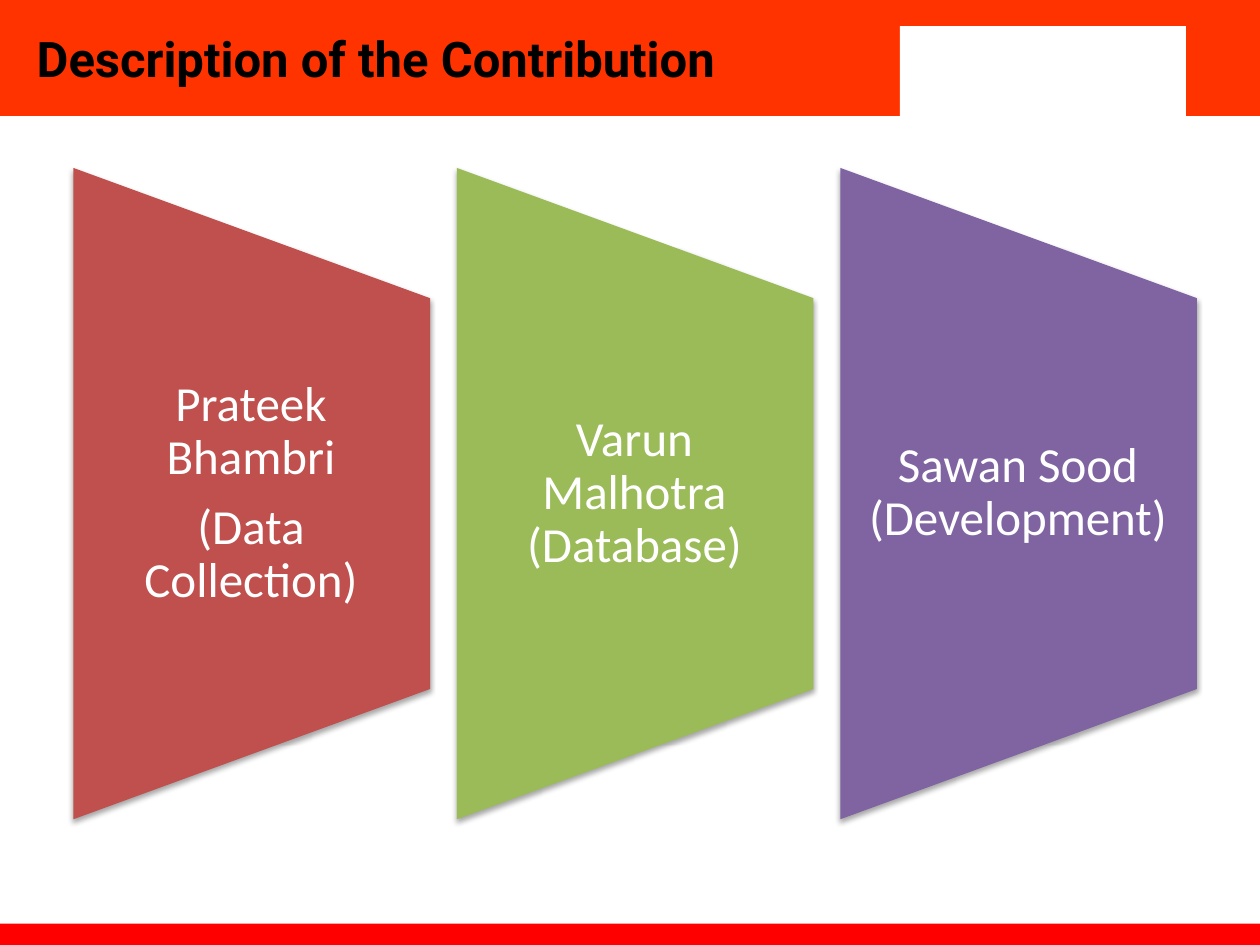
"""Build a slide that describes each member's contribution."""
from dataclasses import dataclass

from lxml import etree
from pptx import Presentation
from pptx.dml.color import RGBColor
from pptx.enum.shapes import MSO_SHAPE
from pptx.enum.text import MSO_ANCHOR, PP_ALIGN
from pptx.oxml.ns import qn
from pptx.shapes.autoshape import Shape
from pptx.slide import Slide
from pptx.util import Cm, Pt

RECTANGLE = MSO_SHAPE.RECTANGLE
TRAPEZOID = MSO_SHAPE.FLOWCHART_MANUAL_OPERATION
MIDDLE = MSO_ANCHOR.MIDDLE
LEFT, CENTER = PP_ALIGN.LEFT, PP_ALIGN.CENTER
TITLE_ONLY = 5


@dataclass(frozen=True)
class Theme:
    """Colours, fonts and type sizes of the slide."""
    header: str = "FF3300"
    footer: str = "FF0000"
    white: str = "FFFFFF"
    black: str = "000000"
    title_font: str = "Roboto"
    body_font: str = "Calibri"
    text_size: float = 28


@dataclass(frozen=True)
class Box:
    """A rectangle in centimetres."""
    left: float
    top: float
    width: float
    height: float

    def lengths(self) -> tuple[Cm, Cm, Cm, Cm]:
        """Return the box as slide lengths."""
        return Cm(self.left), Cm(self.top), Cm(self.width), Cm(self.height)


@dataclass(frozen=True)
class Band:
    """A plain coloured area of the page frame."""
    box: Box
    color: str


@dataclass(frozen=True)
class Contribution:
    """A member's panel."""
    paragraphs: tuple[str, ...]
    color: str


THEME = Theme()
HEADER_HEIGHT = 2.34
BANDS = (
    Band(Box(0, 0, 25.4, HEADER_HEIGHT), THEME.header),
    Band(Box(0, 18.62, 25.4, 0.43), THEME.footer),
    Band(Box(17.07, 0, 8.33, HEADER_HEIGHT), THEME.header),
    Band(Box(18.14, 0.53, 5.77, 1.91), THEME.white),
)
CONTRIBUTIONS = (
    Contribution(("Prateek Bhambri", "(Data Collection)"), "C0504D"),
    Contribution(("Varun Malhotra (Database)",), "9BBB59"),
    Contribution(("Sawan Sood (Development)",), "8064A2"),
)
PANEL_LEFT, PANEL_PITCH, PANEL_MIDDLE = 1.48, 7.73, 9.95
PANEL_WIDTH, PANEL_HEIGHT, LABEL_HEIGHT = 7.19, 13.13, 7.87


def add_filled(slide: Slide, kind: MSO_SHAPE, box: Box, color: str) -> Shape:
    """Add a borderless shape without a shadow."""
    shape = slide.shapes.add_shape(kind, *box.lengths())
    shape.shadow.inherit = False
    shape.fill.solid()
    shape.fill.fore_color.rgb = RGBColor.from_string(color)
    shape.line.fill.background()
    return shape


def add_shadow(shape: Shape) -> None:
    """Drop a soft shadow straight below the shape."""
    effects = shape.element.spPr.find(qn("a:effectLst"))
    shadow = etree.SubElement(
        effects, qn("a:outerShdw"), blurRad=str(Pt(3.1)), dist=str(Pt(1.8)),
        dir="5400000", rotWithShape="0")
    color = etree.SubElement(shadow, qn("a:srgbClr"), val=THEME.black)
    etree.SubElement(color, qn("a:alpha"), val="35000")


def add_title(slide: Slide, text: str) -> None:
    """Place the title on top of the header band."""
    title = slide.shapes.title
    title.left, title.top, title.width, title.height = Box(
        0, 0, 17.98, HEADER_HEIGHT).lengths()
    slide.shapes.element.append(title.element)
    frame = title.text_frame
    frame.text = text
    frame.vertical_anchor = MIDDLE
    frame.margin_left = Cm(0.74)
    heading = frame.paragraphs[0]
    heading.alignment = LEFT
    heading.font.name = THEME.title_font
    heading.font.size = Pt(THEME.text_size)
    heading.font.bold = True
    heading.font.color.rgb = RGBColor.from_string(THEME.black)


def add_label(slide: Slide, box: Box, paragraphs: tuple[str, ...]) -> None:
    """Add a panel's centred wording."""
    frame = slide.shapes.add_textbox(*box.lengths()).text_frame
    frame.word_wrap = True
    frame.vertical_anchor = MIDDLE
    frame.margin_left, frame.margin_right = Cm(0.48), Cm(0.51)
    frame.margin_top = frame.margin_bottom = 0
    frame.text = "\n".join(paragraphs)
    for paragraph in frame.paragraphs:
        paragraph.alignment = CENTER
        paragraph.line_spacing = 0.9
        paragraph.space_after = Pt(0.35 * THEME.text_size)
        paragraph.font.name = THEME.body_font
        paragraph.font.size = Pt(THEME.text_size)
        paragraph.font.color.rgb = RGBColor.from_string(THEME.white)


def add_contribution(slide: Slide, column: int, member: Contribution) -> None:
    """Add a sideways trapezoid with its label."""
    left = PANEL_LEFT + column * PANEL_PITCH
    unrotated = Box(left + (PANEL_WIDTH - PANEL_HEIGHT) / 2,
                    PANEL_MIDDLE - PANEL_WIDTH / 2, PANEL_HEIGHT, PANEL_WIDTH)
    panel = add_filled(slide, TRAPEZOID, unrotated, member.color)
    panel.rotation = 270
    add_shadow(panel)
    label = Box(left, PANEL_MIDDLE - LABEL_HEIGHT / 2, PANEL_WIDTH, LABEL_HEIGHT)
    add_label(slide, label, member.paragraphs)


def main() -> None:
    """Build and save the presentation."""
    presentation = Presentation()
    presentation.slide_width, presentation.slide_height = Cm(25.4), Cm(19.05)
    slide = presentation.slides.add_slide(presentation.slide_layouts[TITLE_ONLY])
    for band in BANDS:
        add_filled(slide, RECTANGLE, band.box, band.color)
    add_title(slide, "Description of the Contribution")
    for column, member in enumerate(CONTRIBUTIONS):
        add_contribution(slide, column, member)
    presentation.save("out.pptx")


if __name__ == "__main__":
    main()
